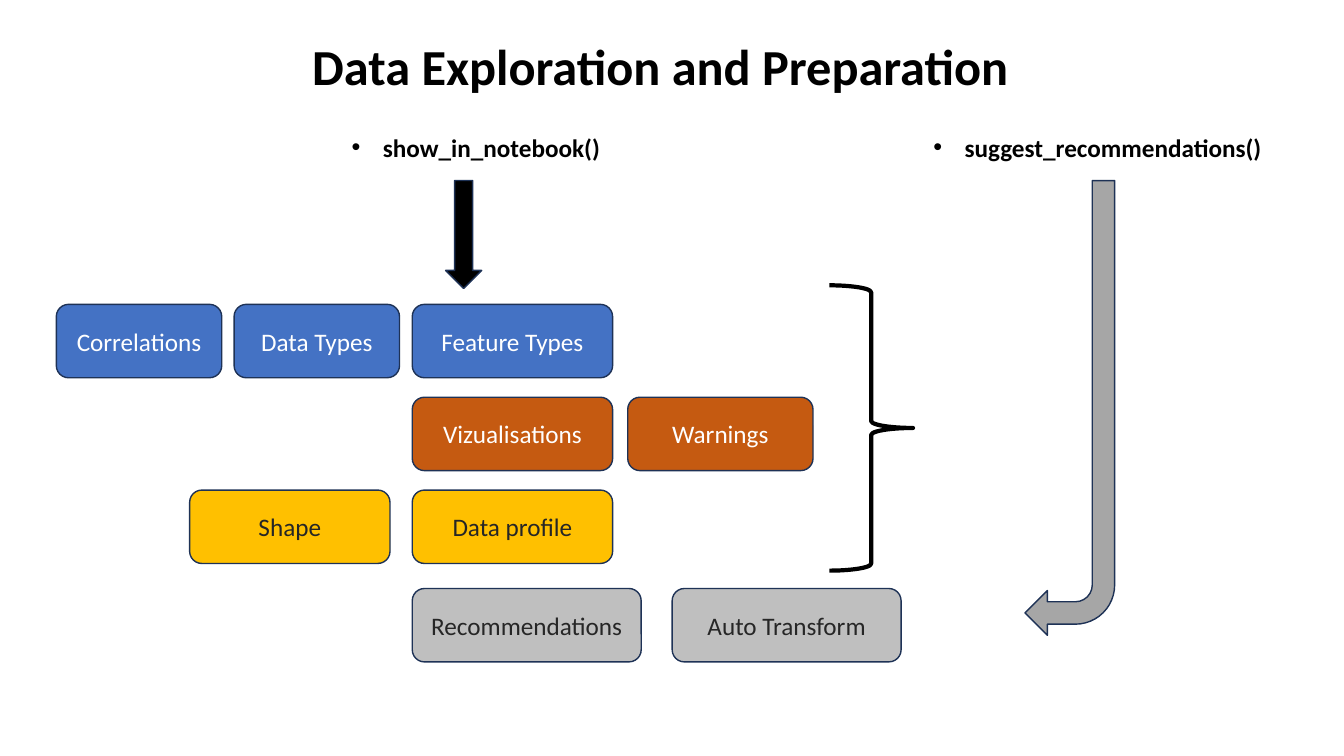
from lxml.etree import SubElement
from pptx import Presentation
from pptx.dml.color import RGBColor
from pptx.enum.shapes import MSO_SHAPE
from pptx.enum.text import MSO_ANCHOR, MSO_AUTO_SIZE, PP_ALIGN
from pptx.oxml.ns import qn
from pptx.util import Cm, Pt

COLORS = {
    "black": "000000",
    "white": "FFFFFF",
    "charcoal": "262626",
    "outline": "1E3256",
    "blue": "4472C4",
    "orange": "C55A11",
    "gold": "FFC000",
    "silver": "BFBFBF",
    "gray": "A6A6A6",
}
TITLE = {"size": Pt(36), "bold": True}
LABEL = {"size": Pt(18), "bold": True}
CARD = {"size": Pt(18), "bold": False}

CARD_HEIGHT = 1.85
ROW_TOP = 7.67
ROW_PITCH = 2.34
MAIN_LEFT = 10.39  # left edge shared by one card in every row
CARD_WIDTH = 5.05


def set_all(target, values):
    for name, value in values.items():
        setattr(target, name, value)


def rgb(color):
    return RGBColor.from_string(COLORS[color])


class SlideBuilder:
    font_name = "Calibri"

    def __init__(self, slide):
        self.slide = slide

    def fill_text(self, frame, text, style, color, align):
        para = frame.paragraphs[0]
        para.alignment = align
        span = para.add_run()
        span.text = text
        set_all(span.font, {"name": self.font_name, **style})
        span.font.color.rgb = rgb(color)
        return para

    def title(self, text, left, top, width, height):
        box = self.slide.shapes.add_textbox(Cm(left), Cm(top), Cm(width), Cm(height))
        set_all(box.text_frame, {
            "word_wrap": True,
            "vertical_anchor": MSO_ANCHOR.MIDDLE,
            "margin_right": Cm(0.83),
        })
        para = self.fill_text(box.text_frame, text, TITLE, "black", PP_ALIGN.CENTER)
        para.line_spacing = 0.9

    def bullet_label(self, text, left, top, width, height):
        box = self.slide.shapes.add_textbox(Cm(left), Cm(top), Cm(width), Cm(height))
        set_all(box.text_frame, {
            "word_wrap": False,
            "auto_size": MSO_AUTO_SIZE.SHAPE_TO_FIT_TEXT,
        })
        para = self.fill_text(box.text_frame, text, LABEL, "black", PP_ALIGN.LEFT)
        properties = para._p.get_or_add_pPr()
        properties.set("marL", str(Cm(0.79)))
        properties.set("indent", str(-Cm(0.79)))
        SubElement(properties, qn("a:buFont"), typeface="Arial")
        SubElement(properties, qn("a:buChar"), char="•")

    def shape(self, kind, left, top, width, height, fill=None, line="outline", weight=1):
        shape = self.slide.shapes.add_shape(kind, Cm(left), Cm(top), Cm(width), Cm(height))
        shape.shadow.inherit = False
        if fill:
            shape.fill.solid()
            shape.fill.fore_color.rgb = rgb(fill)
        else:
            shape.fill.background()
        shape.line.color.rgb = rgb(line)
        shape.line.width = Pt(weight)
        return shape

    def card(self, text, left, top, width, fill, color):
        card = self.shape(MSO_SHAPE.ROUNDED_RECTANGLE, left, top, width, CARD_HEIGHT, fill)
        set_all(card.text_frame, {"word_wrap": True, "vertical_anchor": MSO_ANCHOR.MIDDLE})
        self.fill_text(card.text_frame, text, CARD, color, PP_ALIGN.CENTER)


def main():
    deck = Presentation()
    set_all(deck, {"slide_width": Cm(33.87), "slide_height": Cm(19.05)})
    page = SlideBuilder(deck.slides.add_slide(deck.slide_layouts[6]))

    page.title("Data Exploration and Preparation", 2.33, 1.02, 29.21, 1.45)
    page.bullet_label("show_in_notebook()", 8.61, 3.2, 6.83, 1.02)
    page.bullet_label("suggest_recommendations()", 23.27, 3.2, 8.79, 1.02)

    # Each row: top, fill, text colour, cards as (text, left, width)
    rows = [
        (ROW_TOP, "blue", "white", [
            ("Correlations", 1.42, 4.17),
            ("Data Types", 5.9, 4.17),
            ("Feature Types", MAIN_LEFT, CARD_WIDTH),
        ]),
        (ROW_TOP + ROW_PITCH, "orange", "white", [
            ("Vizualisations", MAIN_LEFT, CARD_WIDTH),
            ("Warnings", 15.82, 4.67),
        ]),
        (ROW_TOP + 2 * ROW_PITCH, "gold", "charcoal", [
            ("Shape", 4.78, CARD_WIDTH),
            ("Data profile", MAIN_LEFT, CARD_WIDTH),
        ]),
        (14.83, "silver", "charcoal", [
            ("Recommendations", MAIN_LEFT, 5.77),
            ("Auto Transform", 16.94, 5.77),
        ]),
    ]
    for top, fill, color, cards in rows:
        for text, left, width in cards:
            page.card(text, left, top, width, fill, color)

    page.shape(MSO_SHAPE.RIGHT_BRACE, 20.9, 7.19, 2.11, 7.19, line="black", weight=3)
    page.shape(MSO_SHAPE.DOWN_ARROW, 11.23, 4.55, 0.91, 2.72, "black")
    bent_arrow = page.shape(MSO_SHAPE.BENT_ARROW, 25.83, 4.55, 2.26, 11.46, "gray")
    bent_arrow.rotation = 180

    deck.save("out.pptx")


if __name__ == "__main__":
    main()
